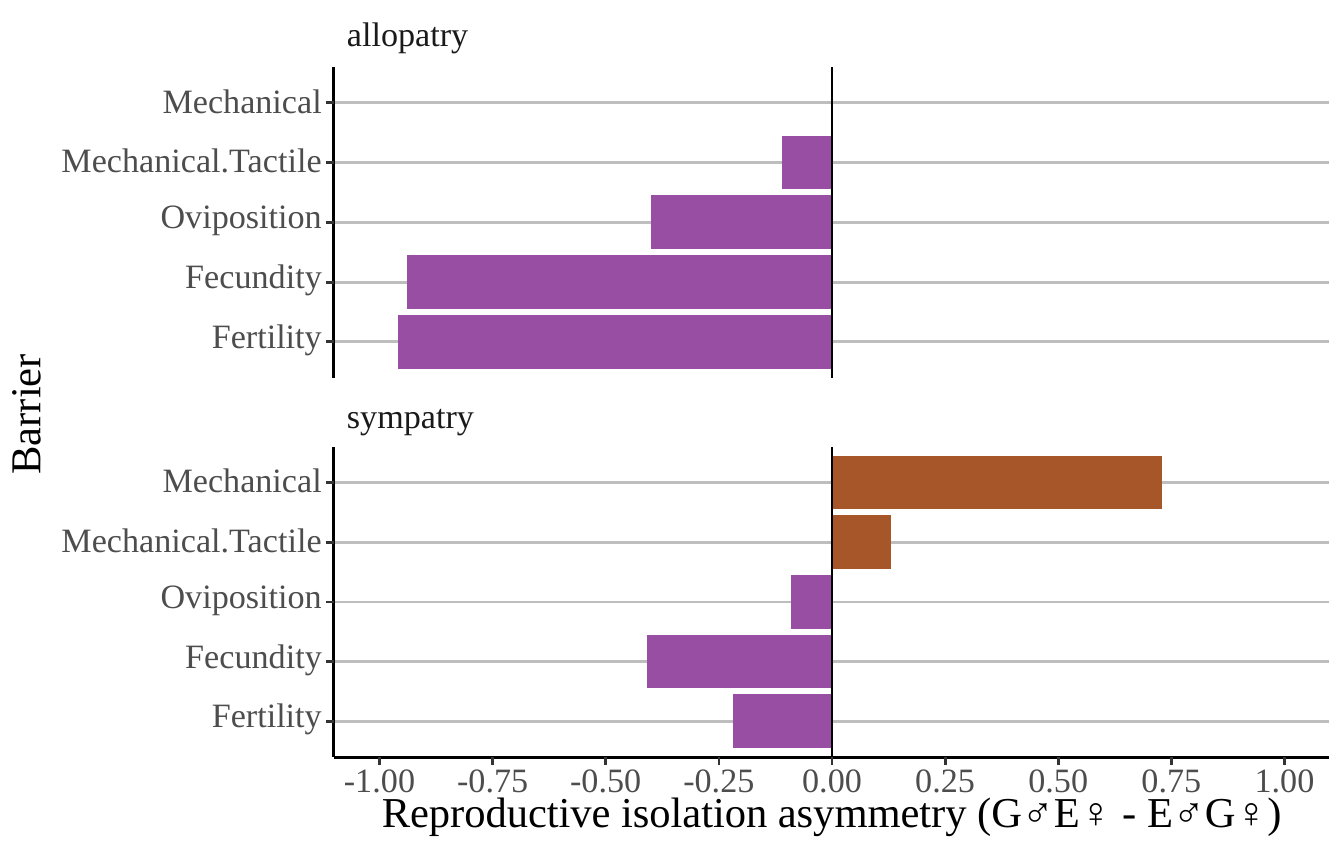
"""Build a slide with two bar charts of reproductive isolation asymmetry by barrier."""
from dataclasses import dataclass

from lxml.etree import SubElement
from pptx import Presentation
from pptx.chart.data import CategoryChartData
from pptx.dml.color import RGBColor
from pptx.enum.chart import XL_CHART_TYPE as ChartType
from pptx.enum.chart import XL_TICK_LABEL_POSITION as LabelPosition
from pptx.enum.chart import XL_TICK_MARK as TickMark
from pptx.enum.shapes import MSO_CONNECTOR as Connector
from pptx.enum.text import MSO_ANCHOR as Anchor
from pptx.enum.text import PP_ALIGN as Align
from pptx.oxml import parse_xml
from pptx.oxml.ns import nsdecls, qn
from pptx.util import Inches, Pt


@dataclass(frozen=True)
class Theme:
    font: str = "Times New Roman"
    label_size: float = 12.8
    title_size: float = 16
    line_width: float = 1.07
    negative: str = "984EA3"
    positive: str = "A65628"
    grid: str = "BEBEBE"
    tick: str = "333333"
    label: str = "4D4D4D"
    heading: str = "1A1A1A"
    black: str = "000000"


theme = Theme()
presentation = Presentation()
presentation.slide_width = Inches(7.01)
presentation.slide_height = Inches(4.49)
slide = presentation.slides.add_slide(presentation.slide_layouts[6])


def add_text(text, left, top, width, height, size=theme.label_size,
             color=theme.label, align=Align.LEFT, rotation=0):
    shape = slide.shapes.add_textbox(Inches(left), Inches(top), Inches(width), Inches(height))
    shape.rotation = rotation
    frame = shape.text_frame
    frame.word_wrap = False
    frame.vertical_anchor = Anchor.MIDDLE
    frame.margin_left = frame.margin_right = frame.margin_top = frame.margin_bottom = 0
    paragraph = frame.paragraphs[0]
    paragraph.alignment = align
    paragraph.line_spacing = Pt(size)
    run = paragraph.add_run()
    run.text = text
    run.font.name = theme.font
    run.font.size = Pt(size)
    run.font.color.rgb = RGBColor.from_string(color)


def add_line(x1, y1, x2, y2, color=theme.black):
    line = slide.shapes.add_connector(
        Connector.STRAIGHT, Inches(x1), Inches(y1), Inches(x2), Inches(y2))
    line.line.color.rgb = RGBColor.from_string(color)
    line.line.width = Pt(theme.line_width)
    SubElement(line._element.spPr, qn("a:effectLst"))


barriers = ["Mechanical", "Mechanical.Tactile", "Oviposition", "Fecundity", "Fertility"]
panels = [
    ("allopatry", 0.35, 0.11, [0, -0.11, -0.40, -0.94, -0.96]),
    ("sympatry", 2.33, 2.1, [0.73, 0.13, -0.09, -0.41, -0.22]),
]
panel_left, panel_right, panel_height = 1.74, 6.93, 1.62
zero, unit = 4.34, 2.36
row_height = panel_height / 5.2
plot_gap = row_height / 10
tick_length = 0.04
chart_left, chart_width = 1.5, 5.5

for name, top, heading_top, values in panels:
    bottom = top + panel_height
    rows = [top + (index + 0.6) * row_height for index in range(len(barriers))]
    for row in rows:
        add_line(panel_left, row, panel_right, row, theme.grid)

    data = CategoryChartData(number_format="0.00")
    data.categories = barriers[::-1]
    data.add_series(name, values[::-1])
    chart = slide.shapes.add_chart(
        ChartType.BAR_CLUSTERED, Inches(chart_left), Inches(top),
        Inches(chart_width), Inches(panel_height), data).chart
    chart.has_legend = False
    chart.has_title = False
    chart.font.name = theme.font
    chart.font.size = Pt(theme.label_size)
    chart.font.color.rgb = RGBColor.from_string(theme.label)

    plot = chart.plots[0]
    plot.gap_width = 11
    plot.vary_by_categories = False
    series = plot.series[0]
    series.invert_if_negative = False
    for index, value in enumerate(values[::-1]):
        fill = series.points[index].format.fill
        fill.solid()
        fill.fore_color.rgb = RGBColor.from_string(
            theme.positive if value > 0 else theme.negative)

    for axis in (chart.category_axis, chart.value_axis):
        axis.has_major_gridlines = False
        axis.major_tick_mark = axis.minor_tick_mark = TickMark.NONE
        axis.tick_label_position = LabelPosition.NONE
        axis.format.line.fill.background()
    chart.value_axis.minimum_scale = -1
    chart.value_axis.maximum_scale = 1
    chart.value_axis.major_unit = 0.25

    plot_area = chart._chartSpace.chart.plotArea
    for layout in plot_area.findall(qn("c:layout")):
        plot_area.remove(layout)
    plot_area.insert(0, parse_xml(
        f'<c:layout {nsdecls("c")}><c:manualLayout><c:layoutTarget val="inner"/>'
        '<c:xMode val="edge"/><c:yMode val="edge"/>'
        f'<c:x val="{(zero - unit - chart_left) / chart_width}"/>'
        f'<c:y val="{plot_gap / panel_height}"/>'
        f'<c:w val="{2 * unit / chart_width}"/>'
        f'<c:h val="{5 * row_height / panel_height}"/>'
        '</c:manualLayout></c:layout>'))
    no_fill = (f'<c:spPr {nsdecls("c", "a")}><a:noFill/>'
               '<a:ln><a:noFill/></a:ln></c:spPr>')
    plot_area.append(parse_xml(no_fill))
    chart._chartSpace.chart.addnext(parse_xml(no_fill))

    add_line(zero, top, zero, bottom)
    add_line(panel_left, top, panel_left, bottom)
    add_text(name, 1.81, heading_top, 1, 0.16, color=theme.heading)
    for barrier, row in zip(barriers, rows):
        descender_lift = 0.02 if set("py") & set(barrier) else 0
        add_text(barrier, 0.28, row - 0.08 - descender_lift, 1.4, 0.16, align=Align.RIGHT)
        add_line(panel_left - tick_length, row, panel_left, row, theme.tick)

add_line(panel_left, bottom, panel_right, bottom)
for step in range(-4, 5):
    tick_x = zero + step * unit / 4
    add_line(tick_x, bottom, tick_x, bottom + tick_length, theme.tick)
    add_text(f"{step / 4:.2f}", tick_x - 0.25, 4.02, 0.5, 0.12, align=Align.CENTER)

add_text("Reproductive isolation asymmetry (G♂E♀ - E♂G♀)", 1.84, 4.14, 5, 0.22,
         size=theme.title_size, color=theme.black, align=Align.CENTER)
add_text("Barrier", -0.17, 2.08, 0.63, 0.16,
         size=theme.title_size, color=theme.black, align=Align.CENTER, rotation=270)

presentation.save("out.pptx")
